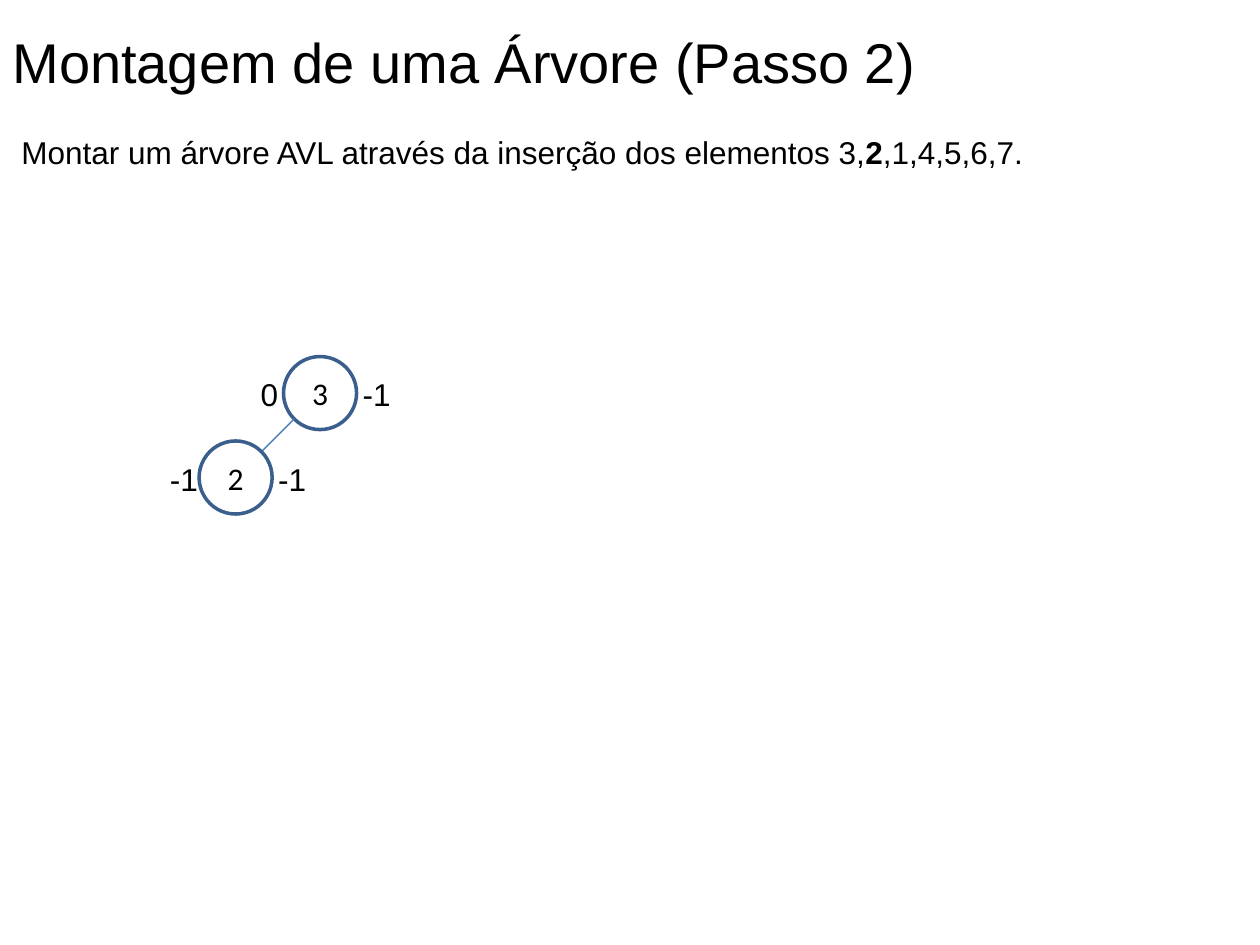
import math

import pptx
import pptx.dml.color
import pptx.enum.shapes
import pptx.enum.text
import pptx.util
from lxml import etree
from pptx.util import Inches

BLACK = pptx.dml.color.RGBColor(0x00, 0x00, 0x00)
NODE_BLUE = pptx.dml.color.RGBColor(0x3A, 0x5F, 0x8C)
EDGE_BLUE = pptx.dml.color.RGBColor(0x4B, 0x7E, 0xBC)

DIAMETER = 0.58
LABEL_HEIGHT = 0.4
# Node: value, left, top, left label (text, left offset, width), right label likewise
ROOT = ("3", 2.25, 2.83, ("0", -0.28, 0.34), ("-1", 0.53, 0.43))
LEFT_CHILD = ("2", 1.58, 3.5, ("-1", -0.33, 0.43), ("-1", 0.53, 0.43))


def write_text(shape, *runs, size=18, font="Arial", align=None):
    """Fill the first paragraph with runs, each a string or a (string, bold) pair."""
    paragraph = shape.text_frame.paragraphs[0]
    paragraph.alignment = align
    for item in runs:
        text, bold = item if isinstance(item, tuple) else (item, False)
        run = paragraph.add_run()
        run.text = text
        run.font.size = pptx.util.Pt(size)
        run.font.name = font
        run.font.bold = bold
        run.font.color.rgb = BLACK


def add_text_box(slide, left, top, width, height, *runs, wrap=False, **text_format):
    box = slide.shapes.add_textbox(Inches(left), Inches(top), Inches(width), Inches(height))
    box.text_frame.word_wrap = wrap
    box.text_frame.auto_size = pptx.enum.text.MSO_AUTO_SIZE.SHAPE_TO_FIT_TEXT
    write_text(box, *runs, **text_format)
    return box


def add_heading(slide, left, top, width):
    add_text_box(slide, left, top, 7.55, 0.64, "Montagem de uma Árvore (Passo 2)", size=32)
    task = add_text_box(
        slide, left, top + 0.84, width, 0.4,
        "Montar um árvore AVL através da inserção dos elementos 3,", ("2", True), ",1,4,5,6,7.",
        wrap=True)
    task.text_frame.margin_left = Inches(0.17)


def add_node(slide, node):
    value, left, top, *labels = node
    circle = slide.shapes.add_shape(
        pptx.enum.shapes.MSO_SHAPE.OVAL,
        Inches(left), Inches(top), Inches(DIAMETER), Inches(DIAMETER))
    circle.shadow.inherit = False
    circle.fill.background()
    circle.line.color.rgb = NODE_BLUE
    circle.line.width = pptx.util.Pt(2)
    circle.text_frame.vertical_anchor = pptx.enum.text.MSO_ANCHOR.MIDDLE
    write_text(circle, value, font="Calibri", align=pptx.enum.text.PP_ALIGN.CENTER)
    for text, offset, width in labels:
        add_text_box(slide, left + offset, top + 0.1, width, LABEL_HEIGHT, text)


def add_left_edge(slide, parent, child):
    """Join the lower left of the parent's circle to the upper right of the child's."""
    radius = DIAMETER / 2
    reach = radius * math.cos(math.pi / 4)
    near, far = radius - reach, radius + reach
    edge = slide.shapes.add_connector(
        pptx.enum.shapes.MSO_CONNECTOR.STRAIGHT,
        Inches(child[1] + far), Inches(child[2] + near),
        Inches(parent[1] + near), Inches(parent[2] + far))
    edge.line.color.rgb = EDGE_BLUE
    edge.line.width = pptx.util.Pt(0.75)
    etree.SubElement(edge._element.spPr, pptx.oxml.ns.qn("a:effectLst"))


def add_tree(slide, root, left_child):
    add_node(slide, root)
    add_left_edge(slide, root, left_child)
    add_node(slide, left_child)


def main():
    presentation = pptx.Presentation()
    presentation.slide_width = Inches(10)
    presentation.slide_height = Inches(7.5)
    slide = presentation.slides.add_slide(presentation.slide_layouts[6])
    add_heading(slide, 0, 0.17, 9.83)
    add_tree(slide, ROOT, LEFT_CHILD)
    presentation.save("out.pptx")


if __name__ == "__main__":
    main()
